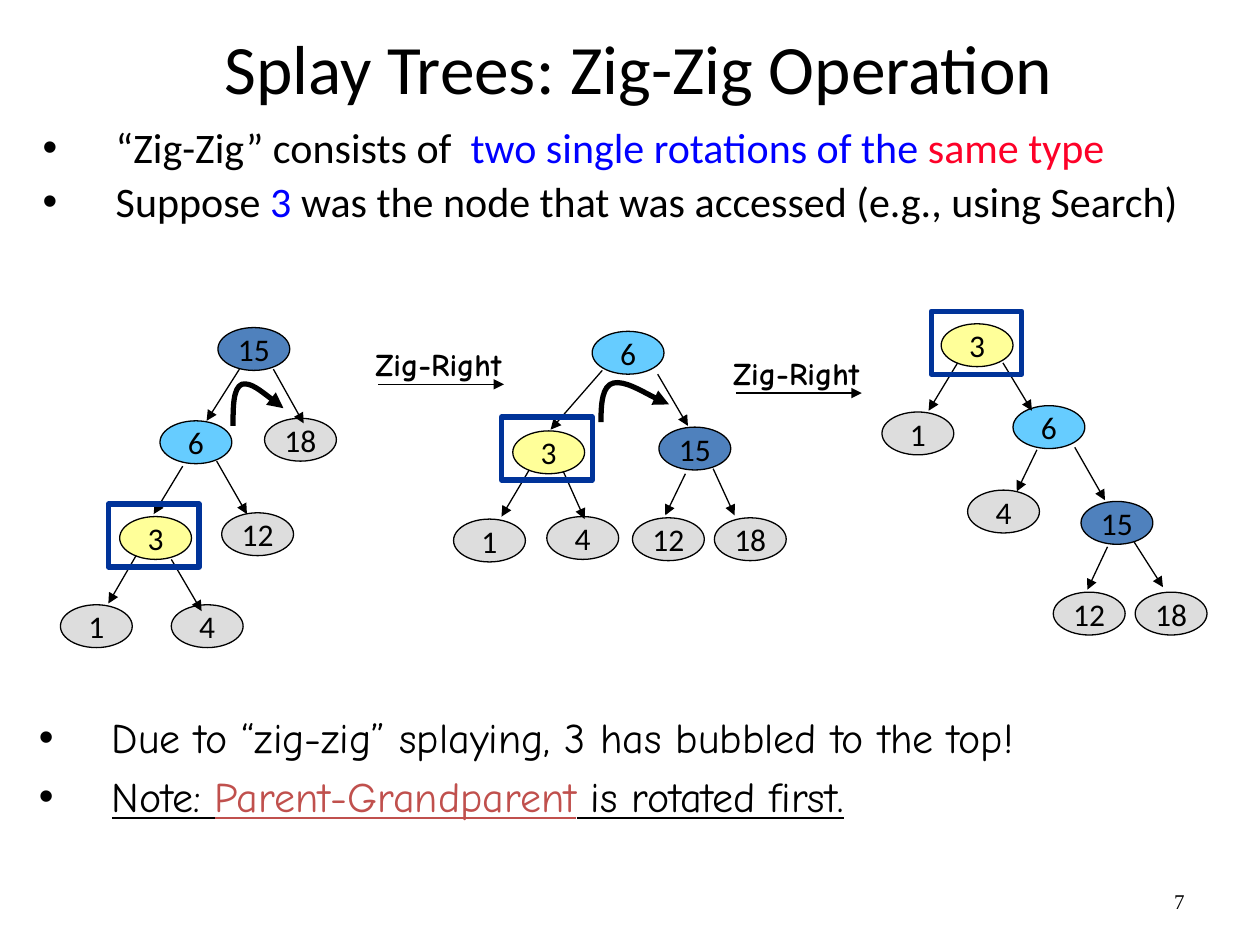
"""Build the slide on the zig-zig operation of splay trees."""
from dataclasses import dataclass
from lxml import etree
from pptx import Presentation
from pptx.dml.color import RGBColor
from pptx.enum.shapes import MSO_CONNECTOR, MSO_SHAPE
from pptx.enum.text import MSO_ANCHOR, PP_ALIGN
from pptx.oxml.ns import qn
from pptx.util import Pt

PX = 9144
LINE = MSO_CONNECTOR.STRAIGHT
OVAL, RECT = MSO_SHAPE.OVAL, MSO_SHAPE.RECTANGLE
TOP, MIDDLE = MSO_ANCHOR.TOP, MSO_ANCHOR.MIDDLE
LEFT, CENTER, RIGHT = PP_ALIGN.LEFT, PP_ALIGN.CENTER, PP_ALIGN.RIGHT


@dataclass(frozen=True)
class Theme:
    ink: str = "000000"
    blue: str = "0000FF"
    red: str = "FD0128"
    brick: str = "C0504D"
    frame: str = "003399"
    leaf: str = "DDDDDD"
    body_font: str = "Calibri"
    hand_font: str = "Comic Neue"
    number_font: str = "Times New Roman"
    title_size: float = 39.6
    body_size: int = 24
    label_size: int = 18
    number_size: int = 12
    thin: float = 0.75
    thick: int = 3


THEME = Theme()
NODE_FILLS = {3: "FFFF99", 6: "66CCFF", 15: "4F81BD"}
NODE_W, NODE_H = 57, 34
FRAME_W, FRAME_H = 72, 50
HANG = 58

TREES = [
    {
        "nodes": [(15, 173, 260), (6, 127, 334), (18, 210, 332), (3, 95, 410),
                  (12, 176, 407), (1, 48, 480), (4, 136, 480)],
        "edges": [(190, 293, 164, 334), (217, 293, 241, 336), (172, 366, 196, 408),
                  (145, 370, 122, 408), (108, 441, 86, 479), (136, 444, 160, 485)],
        "frame": (86, 400),
        "turn": [(185, 338), (185, 323), (185, 308), (192, 305),
                 (199, 303), (220, 320), (225, 324)],
    },
    {
        "nodes": [(6, 470, 263), (3, 407, 342), (15, 523, 339), (1, 360, 412),
                  (4, 434, 410), (12, 502, 411), (18, 567, 411)],
        "edges": [(522, 297, 546, 338), (478, 294, 437, 341), (420, 373, 398, 410),
                  (566, 372, 583, 409), (544, 376, 528, 409), (447, 374, 464, 412)],
        "frame": (398, 331),
        "turn": [(477, 335), (477, 320), (478, 306), (487, 304),
                 (496, 302), (523, 318), (531, 321)],
    },
    {
        "nodes": [(3, 747, 257), (1, 700, 327), (6, 804, 322), (4, 768, 389),
                  (15, 858, 398), (12, 836, 470), (18, 901, 470)],
        "edges": [(853, 355, 877, 397), (760, 288, 737, 326), (900, 430, 923, 466),
                  (879, 434, 863, 468), (796, 288, 819, 326), (823, 357, 807, 390)],
        "frame": (739, 247),
        "turn": None,
    },
]


class SlideBuilder:
    """Draws the kinds of element this slide uses."""

    def __init__(self, slide, theme):
        self.shapes, self.theme = slide.shapes, theme

    def font(self, font, name, size, color=None, bold=False, underline=False):
        font.name, font.size = name, Pt(size)
        font.bold, font.underline = bold, underline
        font.color.rgb = RGBColor.from_string(color or self.theme.ink)

    def stroke(self, sp, color, width):
        sp.line.color.rgb = RGBColor.from_string(color)
        sp.line.width = Pt(width)

    def arrowhead(self, sp):
        ln = sp.element.spPr.find(qn("a:ln"))
        etree.SubElement(ln, qn("a:tailEnd"), type="triangle")

    def box(self, x, y, w, h, anchor=TOP):
        tf = self.shapes.add_textbox(x * PX, y * PX, w * PX, h * PX).text_frame
        tf.word_wrap, tf.vertical_anchor = True, anchor
        return tf

    def text(self, text, box, name, size, align=LEFT, anchor=MIDDLE, bold=False):
        tf = self.box(*box, anchor)
        tf.text = text
        p = tf.paragraphs[0]
        p.alignment = align
        self.font(p.runs[0].font, name, size, bold=bold)

    def bullets(self, items, box, name, spacing=1.0):
        tf = self.box(*box)
        for i, runs in enumerate(items):
            p = tf.add_paragraph() if i else tf.paragraphs[0]
            pPr = p._p.get_or_add_pPr()
            pPr.set("marL", str(HANG * PX))
            pPr.set("indent", str(-HANG * PX))
            etree.SubElement(pPr, qn("a:buFont"), typeface="Arial")
            etree.SubElement(pPr, qn("a:buChar"), char="•")
            p.line_spacing = spacing
            if i:
                p.space_before = Pt(0.2 * self.theme.body_size)
            for text, color, underline in runs:
                r = p.add_run()
                r.text = text
                self.font(r.font, name, self.theme.body_size, color, underline=underline)

    def node(self, value, x, y):
        sp = self.shapes.add_shape(OVAL, x * PX, y * PX, NODE_W * PX, NODE_H * PX)
        sp.shadow.inherit = False
        sp.fill.solid()
        sp.fill.fore_color.rgb = RGBColor.from_string(NODE_FILLS.get(value, self.theme.leaf))
        self.stroke(sp, self.theme.ink, self.theme.thin)
        tf = sp.text_frame
        tf.text = str(value)
        tf.word_wrap, tf.vertical_anchor = False, MIDDLE
        p = tf.paragraphs[0]
        p.alignment = CENTER
        self.font(p.runs[0].font, self.theme.body_font, self.theme.label_size)

    def arrow(self, x1, y1, x2, y2):
        sp = self.shapes.add_connector(LINE, x1 * PX, y1 * PX, x2 * PX, y2 * PX)
        self.stroke(sp, self.theme.ink, self.theme.thin)
        self.arrowhead(sp)
        etree.SubElement(sp.element.spPr, qn("a:effectLst"))

    def frame(self, x, y):
        sp = self.shapes.add_shape(RECT, x * PX, y * PX, FRAME_W * PX, FRAME_H * PX)
        sp.shadow.inherit = False
        sp.fill.background()
        self.stroke(sp, self.theme.frame, self.theme.thick)

    def turn(self, points):
        fb = self.shapes.build_freeform(*points[0], scale=PX)
        fb.add_line_segments(points[1:], close=False)
        sp = fb.convert_to_shape()
        sp.shadow.inherit = False
        sp.fill.background()
        self.stroke(sp, self.theme.ink, self.theme.thick)
        self.arrowhead(sp)
        segments = sp.element.findall(".//" + qn("a:lnTo"))
        for i, segment in enumerate(segments):
            outline = segment.getparent()
            if i % 3 == 0:
                curve = etree.SubElement(outline, qn("a:cubicBezTo"))
            curve.append(segment[0])
            outline.remove(segment)

    def tree(self, nodes, edges, frame, turn):
        for node in nodes:
            self.node(*node)
        for edge in edges:
            self.arrow(*edge)
        self.frame(*frame)
        if turn:
            self.turn(turn)


def main():
    prs = Presentation()
    prs.slide_width, prs.slide_height = 1000 * PX, 750 * PX
    t = THEME
    s = SlideBuilder(prs.slides.add_slide(prs.slide_layouts[6]), t)
    s.text("7", (717, 695, 233, 40), t.number_font, t.number_size, RIGHT)
    s.text("Splay Trees: Zig-Zig Operation", (30, 15, 954, 76), t.body_font, t.title_size, CENTER)
    s.bullets([
        [("“Zig-Zig” consists of  ", t.ink, False),
         ("two single rotations of the ", t.blue, False), ("same type", t.red, False)],
        [("Suppose ", t.ink, False), ("3 ", t.blue, False),
         ("was the node that was accessed (e.g., using Search)", t.ink, False)],
    ], (24, 96, 958, 147), t.body_font, 0.9)
    s.bullets([
        [("Due to “zig-zig” splaying, 3 has bubbled to the top!", t.ink, False)],
        [("Note: ", t.ink, True), ("Parent-Grandparent", t.brick, True),
         (" is rotated first.", t.ink, True)],
    ], (21, 560, 945, 125), t.hand_font)
    for tree in TREES:
        s.tree(**tree)
    for x, y in [(300, 305), (584, 312)]:
        s.arrow(x, y, x + 100, y)
        s.text("Zig-Right", (x - 12, y - 36, 135, 40), t.hand_font, t.label_size, anchor=TOP, bold=True)
    prs.save("out.pptx")


if __name__ == "__main__":
    main()
